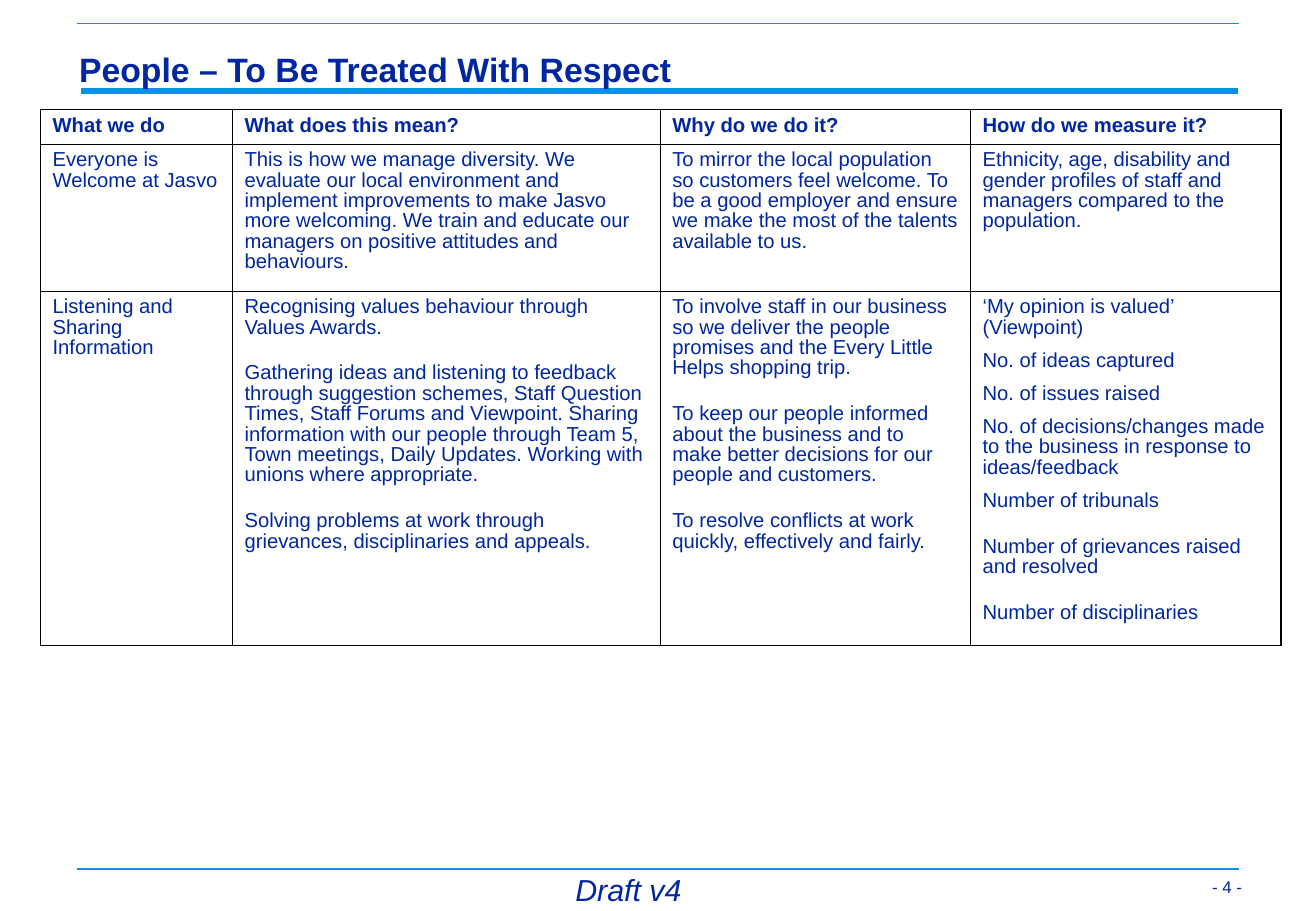
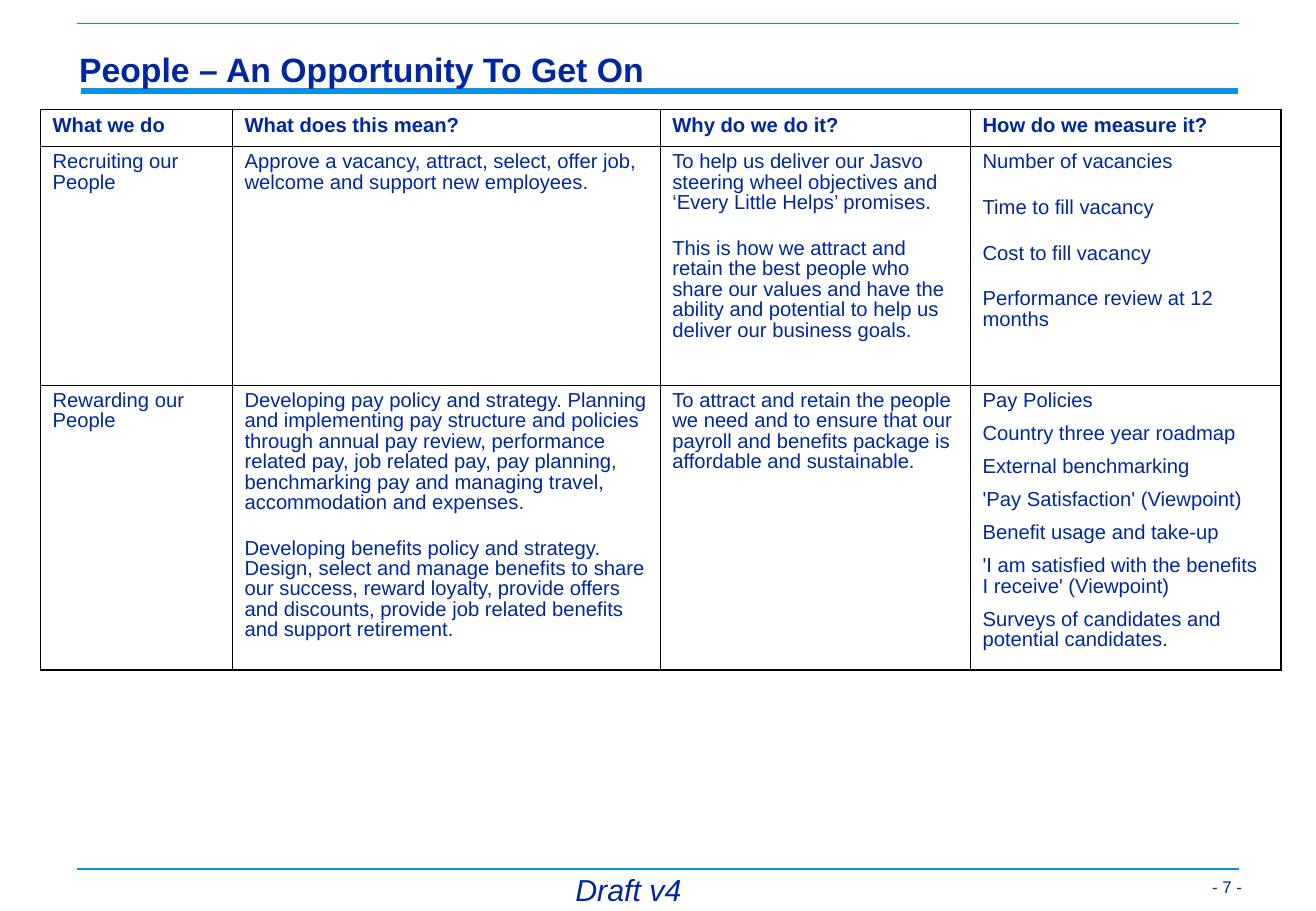
import pptx
import pptx.dml.color
import pptx.enum.shapes
import pptx.enum.text
import pptx.oxml.ns
import pptx.util
from lxml import etree

Pt = pptx.util.Pt
RGB = pptx.dml.color.RGBColor.from_string
ALIGN = pptx.enum.text.PP_ALIGN
ANCHOR = pptx.enum.text.MSO_ANCHOR
qn = pptx.oxml.ns.qn

COLORS = {"text": "00279F", "rule": "0A91E6", "grid": "000000"}
FONT = "Arial"

# Rules on every slide: left, right, height, width, colour
RULES = [
    (48.3, 733.8, 54, 4, "rule"),
    (45.4, 734.5, 13.9, 1, "grid"),
    (45.4, 734.5, 13.9, 1, "rule"),
    (45.4, 734.5, 515, 1, "rule"),
]

# Table layout
TABLE_LEFT, TABLE_TOP = 24, 65
COLUMN_WIDTHS = [113.8, 253.6, 183.95, 183.95]
OUTER_LINE, INNER_LINE = 1.08, 0.45
LOOSE_GAP, TIGHT_GAP = 15, 7.5
HEADINGS = [["What we do"], ["What does this mean?"],
            ["Why do we do it?"], ["How do we measure it?"]]

# "tight" counts the closely spaced paragraphs in the last cell
PAGES = [
    {
        "number": 4,
        "title": "People – To Be Treated With Respect",
        "heights": [20.5, 87.2, 210],
        "tight": 5,
        "rows": [
            [
                ["Everyone is Welcome at Jasvo"],
                ["This is how we manage diversity. We evaluate our local environment and "
                 "implement improvements to make Jasvo more welcoming. We train and educate "
                 "our managers on positive attitudes and behaviours."],
                ["To mirror the local population so customers feel welcome. To be a good "
                 "employer and ensure we make the most of the talents available to us."],
                ["Ethnicity, age, disability and gender profiles of staff and managers "
                 "compared to the population."],
            ],
            [
                ["Listening and Sharing Information"],
                ["Recognising values behaviour through Values Awards.",
                 "Gathering ideas and listening to feedback through suggestion schemes, "
                 "Staff Question Times, Staff Forums and Viewpoint. Sharing information "
                 "with our people through Team 5, Town meetings, Daily Updates. Working "
                 "with unions where appropriate.",
                 "Solving problems at work through grievances, disciplinaries and appeals."],
                ["To involve staff in our business so we deliver the people promises and "
                 "the Every Little Helps shopping trip.",
                 "To keep our people informed about the business and to make better "
                 "decisions for our people and customers.",
                 "To resolve conflicts at work quickly, effectively and fairly."],
                ["‘My opinion is valued’ (Viewpoint)",
                 "No. of ideas captured",
                 "No. of issues raised",
                 "No. of decisions/changes made to the business in response to ideas/feedback",
                 "Number of tribunals",
                 "Number of grievances raised and resolved",
                 "Number of disciplinaries"],
            ],
        ],
    },
    {
        "number": 7,
        "title": "People – An Opportunity To Get On",
        "heights": [21.8, 141.4, 169],
        "tight": 7,
        "rows": [
            [
                ["Recruiting our People"],
                ["Approve a vacancy, attract, select, offer job, welcome and support new "
                 "employees."],
                ["To help us deliver our Jasvo steering wheel objectives and ‘Every Little "
                 "Helps’ promises.",
                 "This is how we attract and retain the best people who share our values and "
                 "have the ability and potential to help us deliver our business goals."],
                ["Number of vacancies",
                 "Time to fill vacancy",
                 "Cost to fill vacancy",
                 "Performance review at 12 months"],
            ],
            [
                ["Rewarding our People"],
                ["Developing pay policy and strategy. Planning and implementing pay "
                 "structure and policies through annual pay review, performance related "
                 "pay, job related pay, pay planning, benchmarking pay and managing travel, "
                 "accommodation and expenses.",
                 "Developing benefits policy and strategy. Design, select and manage "
                 "benefits to share our success, reward loyalty, provide offers and "
                 "discounts, provide job related benefits and support retirement."],
                ["To attract and retain the people we need and to ensure that our payroll "
                 "and benefits package is affordable and sustainable."],
                ["Pay Policies",
                 "Country three year roadmap",
                 "External benchmarking",
                 "'Pay Satisfaction' (Viewpoint)",
                 "Benefit usage and take-up",
                 "'I am satisfied with the benefits I receive' (Viewpoint)",
                 "Surveys of candidates and potential candidates."],
            ],
        ],
    },
]


def write_paragraph(para, text, size, spacing, align=ALIGN.LEFT, bold=False, italic=False):
    para.text = text
    para.alignment = align
    para.line_spacing = spacing
    for span in para.runs:
        span.font.name = FONT
        span.font.size = Pt(size)
        span.font.bold = bold
        span.font.italic = italic
        span.font.color.rgb = RGB(COLORS["text"])


def set_border(cell, side, width):
    line = etree.SubElement(cell._tc.get_or_add_tcPr(), qn(f"a:ln{side}"), w=str(Pt(width)))
    fill = etree.SubElement(line, qn("a:solidFill"))
    etree.SubElement(fill, qn("a:srgbClr"), val=COLORS["grid"])


deck = pptx.Presentation()
deck.slide_width, deck.slide_height = Pt(780.13), Pt(540)

for page in PAGES:
    slide = deck.slides.add_slide(deck.slide_layouts[6])

    # Rules
    for left, right, height, width, color in RULES:
        rule = slide.shapes.add_connector(
            pptx.enum.shapes.MSO_CONNECTOR.STRAIGHT, Pt(left), Pt(height), Pt(right), Pt(height))
        rule.line.color.rgb = RGB(COLORS[color])
        rule.line.width = Pt(width)
        etree.SubElement(rule._element.spPr, qn("a:effectLst"))

    # Title, draft label and page number: frame, margins, anchor, text, style
    labels = [
        ((41.9, 24, 693.4, 31.8), (5, 2.2), ANCHOR.BOTTOM, page["title"],
         {"size": 20, "spacing": 0.97, "bold": True}),
        ((287.3, 515.1, 170.6, 26.6), (7.2, 3.6), ANCHOR.TOP, "Draft v4",
         {"size": 18, "spacing": 0.9, "align": ALIGN.CENTER, "italic": True}),
        ((698, 505.8, 43.2, 28.1), (5, 2.2), ANCHOR.BOTTOM, f"- {page['number']} -",
         {"size": 10, "spacing": 1.0, "align": ALIGN.RIGHT}),
    ]
    for frame, (side_margin, end_margin), anchor, text, style in labels:
        box = slide.shapes.add_textbox(*map(Pt, frame))
        text_frame = box.text_frame
        text_frame.word_wrap = True
        text_frame.vertical_anchor = anchor
        text_frame.margin_left = text_frame.margin_right = Pt(side_margin)
        text_frame.margin_top = text_frame.margin_bottom = Pt(end_margin)
        write_paragraph(text_frame.paragraphs[0], text, **style)

    # Table
    rows = [HEADINGS] + page["rows"]
    last_row, last_column = len(rows) - 1, len(COLUMN_WIDTHS) - 1
    table = slide.shapes.add_table(
        len(rows), len(COLUMN_WIDTHS), Pt(TABLE_LEFT), Pt(TABLE_TOP),
        Pt(sum(COLUMN_WIDTHS)), Pt(sum(page["heights"]))).table
    table.first_row = table.horz_banding = False
    for column, width in zip(table.columns, COLUMN_WIDTHS):
        column.width = Pt(width)
    for row, height in zip(table.rows, page["heights"]):
        row.height = Pt(height)

    for row_index, row_texts in enumerate(rows):
        for column_index, texts in enumerate(row_texts):
            cell = table.cell(row_index, column_index)
            cell.margin_left = cell.margin_right = Pt(7.2)
            cell.margin_top = cell.margin_bottom = Pt(3.6)

            # Heavier lines on the outside of the table
            outer_sides = {
                "L": column_index == 0,
                "R": column_index == last_column,
                "T": row_index == 0,
                "B": row_index == last_row,
            }
            for side, is_outer in outer_sides.items():
                set_border(cell, side, OUTER_LINE if is_outer else INNER_LINE)
            cell.fill.background()

            # Cell text
            is_measure_list = row_index == last_row and column_index == last_column
            tight_count = page["tight"] if is_measure_list else 0
            for index, text in enumerate(texts):
                if index == 0:
                    para = cell.text_frame.paragraphs[0]
                else:
                    para = cell.text_frame.add_paragraph()
                    para.space_before = Pt(TIGHT_GAP if index < tight_count else LOOSE_GAP)
                write_paragraph(para, text, 12, 0.9, bold=row_index == 0)

deck.save("out.pptx")
